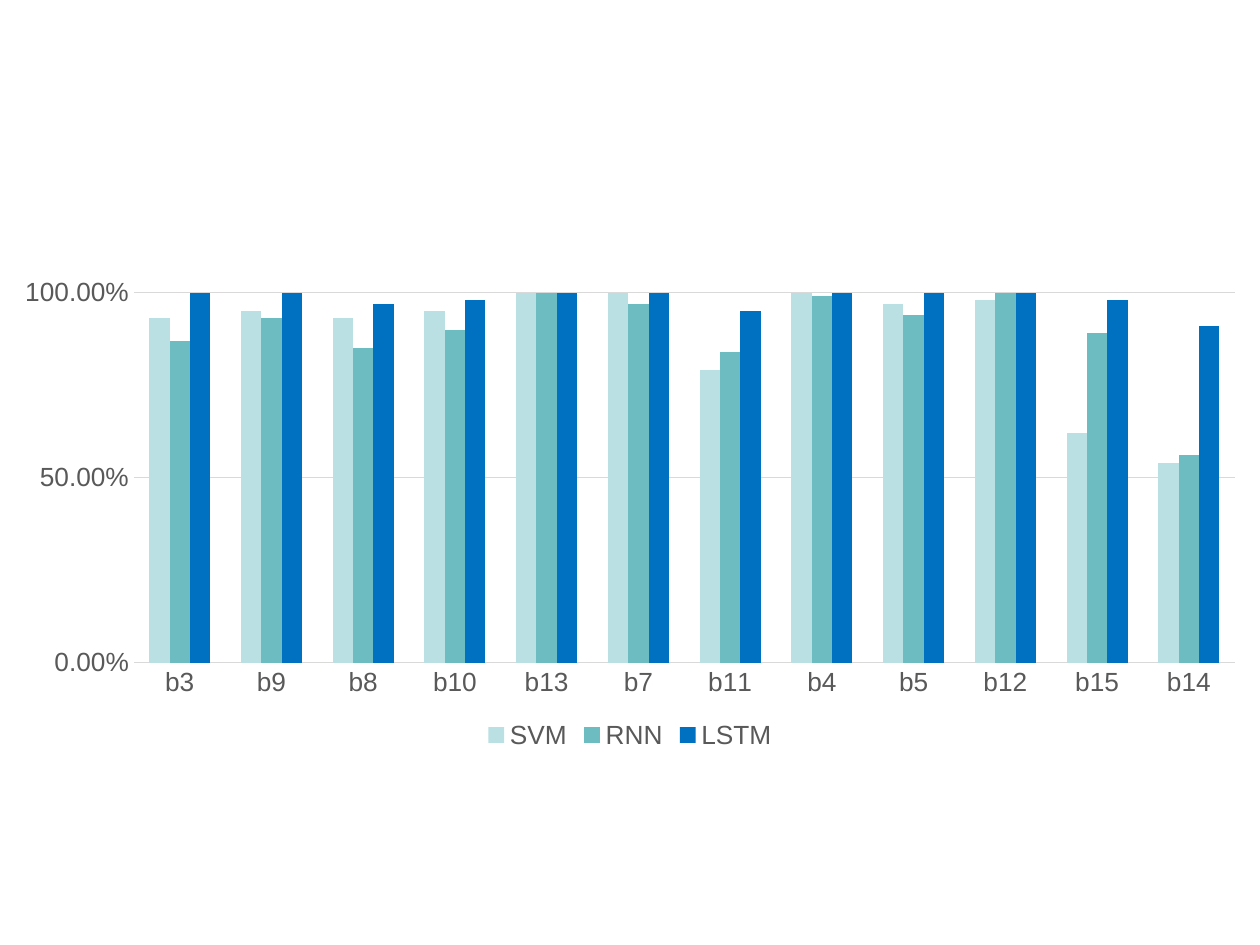
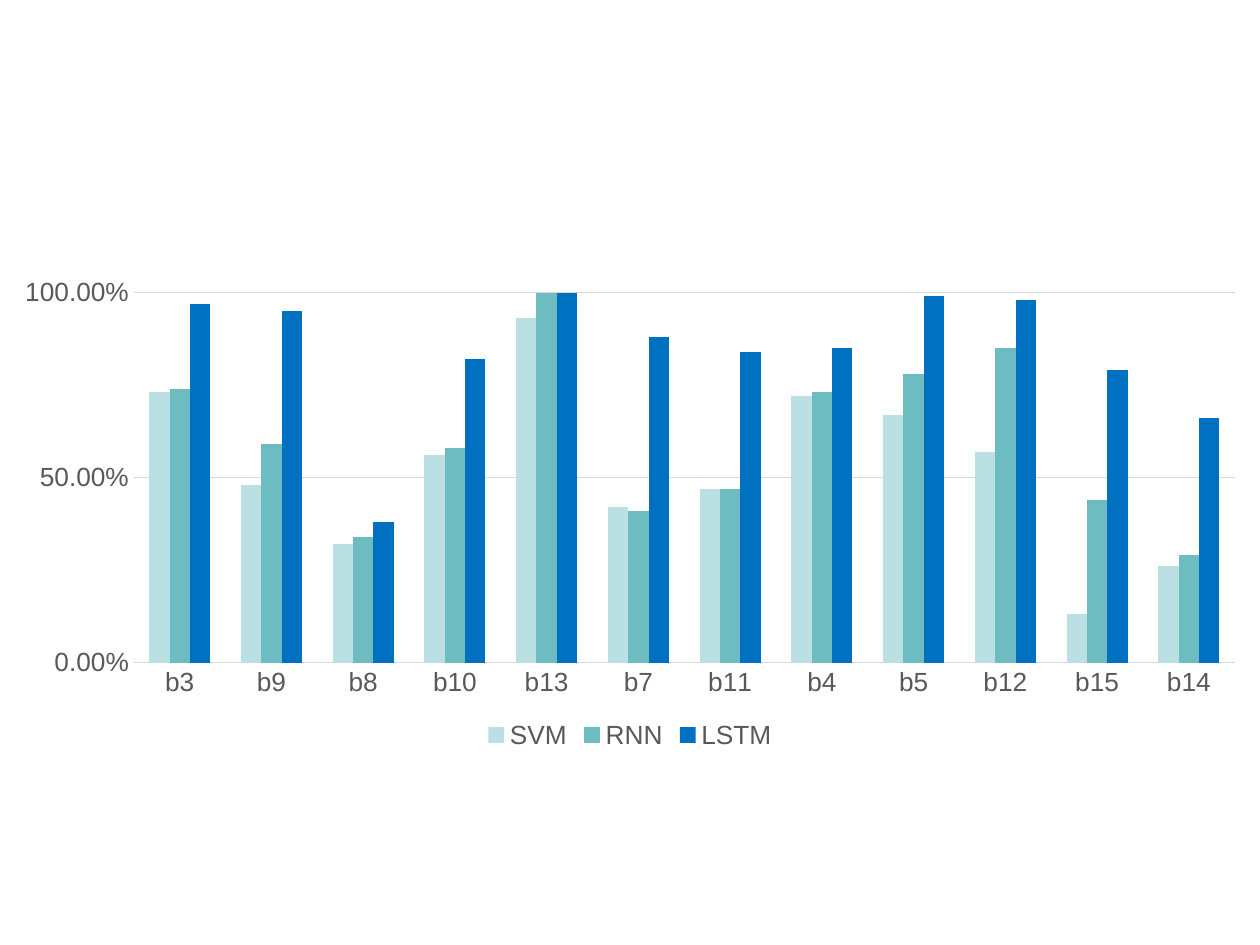
from dataclasses import dataclass

import pptx
import pptx.chart.data
import pptx.dml.color
import pptx.enum.chart
import pptx.util


@dataclass(frozen=True)
class Theme:
    font: str = "Arial"
    base_size: int = 10
    label_size: int = 15
    base_color: str = "000000"
    label_color: str = "595959"
    grid_color: str = "D9D9D9"
    grid_width: float = 0.75
    background: str = "FFFFFF"
    series_colors: tuple = ("BBE0E3", "6CBCC2", "0070C0")


THEME = Theme()
SLIDE_WIDTH, SLIDE_HEIGHT = 720, 540
CHART_TOP, CHART_HEIGHT = 153.36, 277.92
BLANK_LAYOUT = 6

CLASSES = ("b3", "b9", "b8", "b10", "b13", "b7",
           "b11", "b4", "b5", "b12", "b15", "b14")
SCORES_BY_SLIDE = (
    {
        "SVM": (0.93, 0.95, 0.93, 0.95, 1, 1, 0.79, 1, 0.97, 0.98, 0.62, 0.54),
        "RNN": (0.87, 0.93, 0.85, 0.9, 1, 0.97, 0.84, 0.99, 0.94, 1, 0.89, 0.56),
        "LSTM": (1, 1, 0.97, 0.98, 1, 1, 0.95, 1, 1, 1, 0.98, 0.91),
    },
    {
        "SVM": (0.73, 0.48, 0.32, 0.56, 0.93, 0.42, 0.47, 0.72, 0.67, 0.57, 0.13, 0.26),
        "RNN": (0.74, 0.59, 0.34, 0.58, 1, 0.41, 0.47, 0.73, 0.78, 0.85, 0.44, 0.29),
        "LSTM": (0.97, 0.95, 0.38, 0.82, 1, 0.88, 0.84, 0.85, 0.99, 0.98, 0.79, 0.66),
    },
)


def rgb(color):
    return pptx.dml.color.RGBColor.from_string(color)


def style_font(font, size, color):
    font.name = THEME.font
    font.size = pptx.util.Pt(size)
    font.color.rgb = rgb(color)


def style_line(line):
    line.color.rgb = rgb(THEME.grid_color)
    line.width = pptx.util.Pt(THEME.grid_width)


def style_axes(chart):
    for axis in (chart.category_axis, chart.value_axis):
        axis.major_tick_mark = pptx.enum.chart.XL_TICK_MARK.NONE
        axis.minor_tick_mark = pptx.enum.chart.XL_TICK_MARK.NONE
        style_font(axis.tick_labels.font, THEME.label_size, THEME.label_color)
    style_line(chart.category_axis.format.line)

    value_axis = chart.value_axis
    value_axis.minimum_scale = 0
    value_axis.maximum_scale = 1
    value_axis.major_unit = 0.5
    value_axis.tick_labels.number_format = "0.00%"
    value_axis.tick_labels.number_format_is_linked = False
    value_axis.format.line.fill.background()
    style_line(value_axis.major_gridlines.format.line)


def style_legend(chart):
    chart.has_legend = True
    chart.legend.position = pptx.enum.chart.XL_LEGEND_POSITION.BOTTOM
    chart.legend.include_in_layout = False
    style_font(chart.legend.font, THEME.label_size, THEME.label_color)


def style_columns(plot):
    plot.gap_width = 150
    plot.overlap = 0
    plot.vary_by_categories = False
    for series, color in zip(plot.series, THEME.series_colors):
        series.invert_if_negative = False
        series.format.fill.solid()
        series.format.fill.fore_color.rgb = rgb(color)


def add_score_chart(slide, scores):
    chart_data = pptx.chart.data.CategoryChartData(number_format="0.00%")
    chart_data.categories = CLASSES
    for model, values in scores.items():
        chart_data.add_series(model, values)
    chart = slide.shapes.add_chart(
        pptx.enum.chart.XL_CHART_TYPE.COLUMN_CLUSTERED,
        pptx.util.Pt(0), pptx.util.Pt(CHART_TOP),
        pptx.util.Pt(SLIDE_WIDTH), pptx.util.Pt(CHART_HEIGHT), chart_data,
    ).chart
    chart.has_title = False
    style_font(chart.font, THEME.base_size, THEME.base_color)
    style_axes(chart)
    style_legend(chart)
    style_columns(chart.plots[0])


def add_score_slide(presentation, scores):
    slide = presentation.slides.add_slide(presentation.slide_layouts[BLANK_LAYOUT])
    slide.background.fill.solid()
    slide.background.fill.fore_color.rgb = rgb(THEME.background)
    add_score_chart(slide, scores)


def main():
    presentation = pptx.Presentation()
    presentation.slide_width = pptx.util.Pt(SLIDE_WIDTH)
    presentation.slide_height = pptx.util.Pt(SLIDE_HEIGHT)
    for scores in SCORES_BY_SLIDE:
        add_score_slide(presentation, scores)
    presentation.save("out.pptx")


if __name__ == "__main__":
    main()
